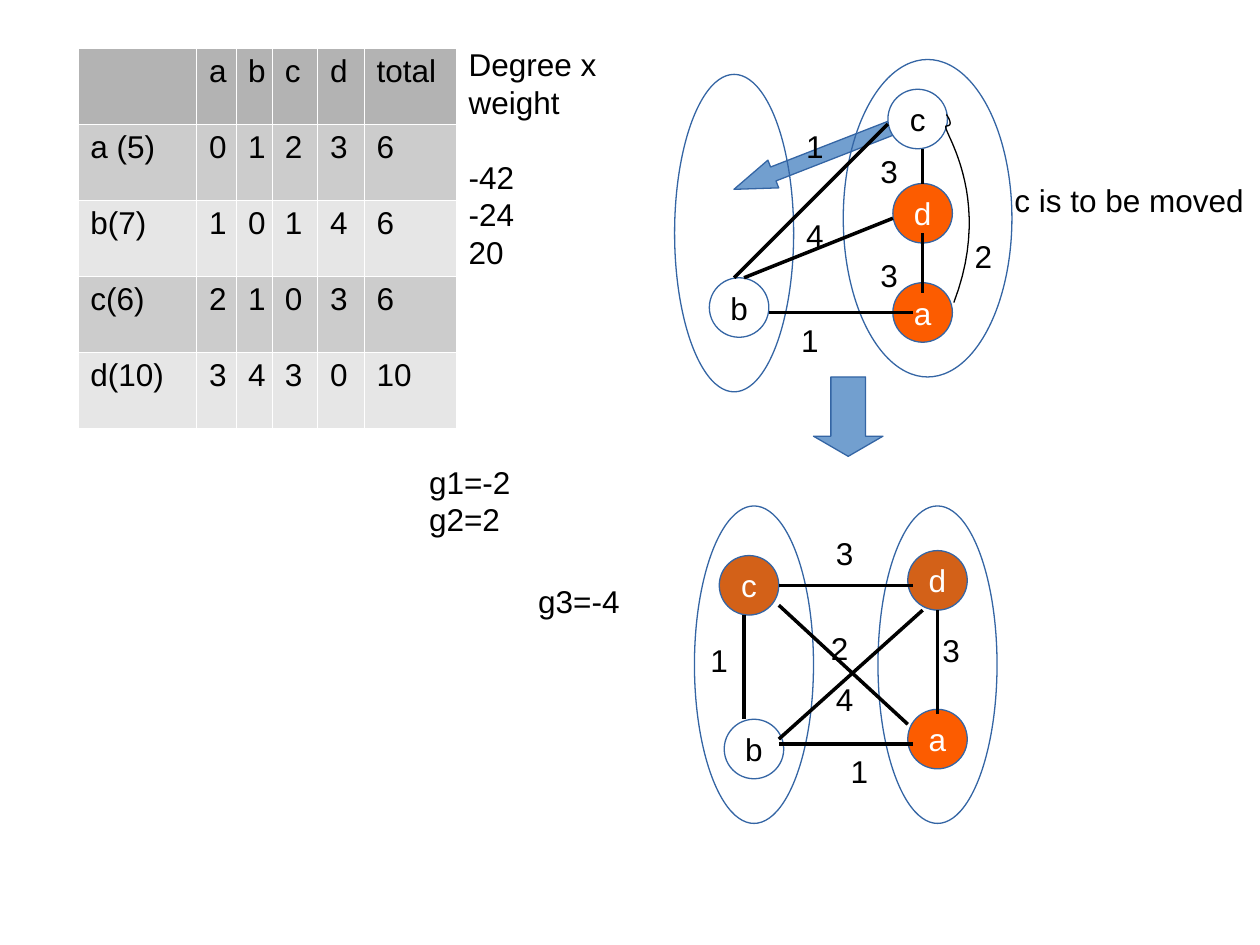
from typing import NamedTuple

import pptx
import pptx.dml.color
import pptx.enum.shapes
import pptx.enum.text
import pptx.oxml.ns
import pptx.oxml.xmlchemy
import pptx.shapes.autoshape
import pptx.slide
import pptx.text.text
import pptx.util
from lxml import etree

Cm = pptx.util.Cm
Pt = pptx.util.Pt
RGBColor = pptx.dml.color.RGBColor
SHAPE = pptx.enum.shapes.MSO_SHAPE
ALIGN = pptx.enum.text.PP_ALIGN
ANCHOR = pptx.enum.text.MSO_ANCHOR
qn = pptx.oxml.ns.qn

BLACK = RGBColor(0x00, 0x00, 0x00)
WHITE = RGBColor(0xFF, 0xFF, 0xFF)
ORANGE = RGBColor(0xFC, 0x5C, 0x00)
RUST = RGBColor(0xD3, 0x61, 0x18)
BLUE = RGBColor(0x72, 0x9F, 0xCF)
OUTLINE = RGBColor(0x34, 0x65, 0xA4)
HEADER_GREY = RGBColor(0xB3, 0xB3, 0xB3)
BAND_GREYS = (RGBColor(0xCC, 0xCC, 0xCC), RGBColor(0xE6, 0xE6, 0xE6))

NODE_SIZE = 1.2
CLUSTER_HEIGHT = 6.4
ROW_HEIGHT = 1.53
COLUMN_WIDTHS = (2.39, 0.79, 0.74, 0.91, 0.94, 1.85)
DEGREES = (
    ("", "a", "b", "c", "d", "total"),
    ("a (5)", "0", "1", "2", "3", "6"),
    ("b(7)", "1", "0", "1", "4", "6"),
    ("c(6)", "2", "1", "0", "3", "6"),
    ("d(10)", "3", "4", "3", "0", "10"),
)


class Node(NamedTuple):
    name: str
    left: float
    top: float
    fill: RGBColor


class Cluster(NamedTuple):
    left: float
    top: float
    width: float


class Edge(NamedTuple):
    x1: float
    y1: float
    x2: float
    y2: float


class Weight(NamedTuple):
    value: str
    left: float
    top: float


class Graph(NamedTuple):
    nodes: tuple[Node, ...]
    clusters: tuple[Cluster, ...]
    edges: tuple[Edge, ...]
    weights: tuple[Weight, ...]


BEFORE_MOVE = Graph(
    (Node("a", 18, 5.7, ORANGE), Node("b", 14.3, 5.6, WHITE),
     Node("d", 18, 3.7, ORANGE), Node("c", 17.9, 1.8, WHITE)),
    (Cluster(17, 1.2, 3.4), Cluster(13.6, 1.5, 2.4)),
    (Edge(14.8, 5.6, 17.9, 2.5), Edge(15, 5.6, 18, 4.4), Edge(15.5, 6.3, 18.4, 6.3),
     Edge(18.6, 3, 18.6, 3.7), Edge(18.6, 4.7, 18.6, 5.9)),
    (Weight("1", 16, 2.44), Weight("1", 15.9, 6.35), Weight("2", 19.4, 4.65),
     Weight("3", 17.5, 2.95), Weight("3", 17.5, 5.03), Weight("4", 16, 4.24)),
)
AFTER_MOVE = Graph(
    (Node("a", 18.3, 14.3, ORANGE), Node("b", 14.6, 14.5, WHITE),
     Node("d", 18.3, 11.1, RUST), Node("c", 14.5, 11.2, RUST)),
    (Cluster(14, 10.2, 2.4), Cluster(17.7, 10.2, 2.4)),
    (Edge(15.7, 15, 18.4, 15), Edge(15.7, 11.8, 18.4, 11.8), Edge(15, 12.4, 15, 14.5),
     Edge(18.9, 12.3, 18.9, 14.4), Edge(15.7, 12.2, 18.3, 14.6),
     Edge(15.7, 14.9, 18.6, 12.3)),
    (Weight("2", 16.5, 12.55), Weight("1", 16.9, 15.04), Weight("3", 18.75, 12.6),
     Weight("1", 14.07, 12.8), Weight("3", 16.6, 10.64), Weight("4", 16.6, 13.59)),
)
CURVE_A_TO_C = (
    ((19.23, 6.1), (20.07, 3.89), (18.92, 2.54), (19.08, 2.54)),
    ((19.08, 2.54), (19.25, 2.54), (19.08, 2.31), (19.08, 2.31)),
)


def write(frame: pptx.text.text.TextFrame, text: str, *, color: RGBColor = BLACK,
          align: ALIGN = ALIGN.LEFT, anchor: ANCHOR = ANCHOR.TOP,
          wrap: bool = True, gap_after_first: float = 0) -> None:
    frame.word_wrap = wrap
    frame.vertical_anchor = anchor
    frame.text = text
    for index, paragraph in enumerate(frame.paragraphs):
        paragraph.alignment = align
        paragraph.font.name = "Arial"
        paragraph.font.size = Pt(18)
        paragraph.font.color.rgb = color
        if index == 1:
            paragraph.space_before = Pt(gap_after_first)


def add_note(slide: pptx.slide.Slide, text: str, left: float, top: float,
             width: float, height: float, gap_after_first: float = 0) -> None:
    note = slide.shapes.add_textbox(Cm(left), Cm(top), Cm(width), Cm(height))
    write(note.text_frame, text, gap_after_first=gap_after_first)


def add_outlined(slide: pptx.slide.Slide, kind: SHAPE, left: float, top: float,
                 width: float, height: float,
                 fill: RGBColor | None = None) -> pptx.shapes.autoshape.Shape:
    outlined = slide.shapes.add_shape(kind, Cm(left), Cm(top), Cm(width), Cm(height))
    outlined.shadow.inherit = False
    if fill is None:
        outlined.fill.background()
    else:
        outlined.fill.solid()
        outlined.fill.fore_color.rgb = fill
    outlined.line.color.rgb = OUTLINE
    outlined.line.width = Pt(0)
    return outlined


def add_edge(slide: pptx.slide.Slide, edge: Edge) -> None:
    link = slide.shapes.add_connector(
        pptx.enum.shapes.MSO_CONNECTOR.STRAIGHT, *(Cm(value) for value in edge))
    link.line.color.rgb = BLACK
    link.line.width = Pt(0)
    etree.SubElement(link._element.spPr, qn("a:effectLst"))


def add_curve(slide: pptx.slide.Slide, segments: tuple, steps: int = 24) -> None:
    points = []
    for start, pull_out, pull_in, end in segments:
        for step in range(steps + 1):
            t = step / steps
            points.append(tuple(
                Cm((1 - t) ** 3 * p + 3 * (1 - t) ** 2 * t * q
                   + 3 * (1 - t) * t ** 2 * r + t ** 3 * s)
                for p, q, r, s in zip(start, pull_out, pull_in, end)))
    builder = slide.shapes.build_freeform(*points[0])
    builder.add_line_segments(points[1:], close=False)
    curve = builder.convert_to_shape()
    curve.shadow.inherit = False
    curve.fill.background()
    curve.line.color.rgb = BLACK
    curve.line.width = Pt(0)


def add_graph(slide: pptx.slide.Slide, graph: Graph) -> None:
    for node in graph.nodes:
        circle = add_outlined(slide, SHAPE.OVAL, node.left, node.top,
                              NODE_SIZE, NODE_SIZE, node.fill)
        write(circle.text_frame, node.name, color=BLACK if node.fill == WHITE else WHITE,
              align=ALIGN.CENTER, anchor=ANCHOR.MIDDLE, wrap=False)
    for cluster in graph.clusters:
        add_outlined(slide, SHAPE.OVAL, *cluster, CLUSTER_HEIGHT)
    for edge in graph.edges:
        add_edge(slide, edge)
    for weight in graph.weights:
        add_note(slide, *weight, 0.8, 0.96)


def add_degree_table(slide: pptx.slide.Slide) -> None:
    degrees = slide.shapes.add_table(
        len(DEGREES), len(COLUMN_WIDTHS), Cm(1.57), Cm(0.97),
        Cm(sum(COLUMN_WIDTHS)), Cm(ROW_HEIGHT * len(DEGREES))).table
    for column, width in zip(degrees.columns, COLUMN_WIDTHS):
        column.width = Cm(width)
    for row, values in enumerate(DEGREES):
        degrees.rows[row].height = Cm(ROW_HEIGHT)
        for col, value in enumerate(values):
            cell = degrees.cell(row, col)
            write(cell.text_frame, value)
            properties = cell._tc.get_or_add_tcPr()
            for side in ("lnL", "lnR", "lnT", "lnB"):
                border = etree.SubElement(properties, qn(f"a:{side}"), w="720")
                paint = etree.SubElement(border, qn("a:solidFill"))
                etree.SubElement(paint, qn("a:srgbClr"), val=str(WHITE))
            cell.fill.solid()
            cell.fill.fore_color.rgb = BAND_GREYS[(row - 1) % 2] if row else HEADER_GREY


def main() -> None:
    deck = pptx.Presentation()
    deck.slide_width, deck.slide_height = Cm(25.4), Cm(19.05)
    slide = deck.slides.add_slide(deck.slide_layouts[6])

    add_degree_table(slide)
    add_note(slide, "Degree x weight\n-42\n-24\n20", 9.2, 0.79, 3.7, 7.72, gap_after_first=21)
    add_note(slide, "c is to be moved", 20.2, 3.53, 6.4, 0.96)
    add_note(slide, "g1=-2\ng2=2", 8.4, 9.2, 3.6, 2.4)
    add_note(slide, "g3=-4", 10.6, 11.6, 3.6, 1.2)

    move_arrow = add_outlined(slide, SHAPE.LEFT_ARROW, 14.68, 2.9, 3.4, 0.6, BLUE)
    move_arrow.adjustments[1] = 1.42
    move_arrow.rotation = 338.7
    add_graph(slide, BEFORE_MOVE)
    add_curve(slide, CURVE_A_TO_C)
    add_graph(slide, AFTER_MOVE)
    result_arrow = add_outlined(slide, SHAPE.DOWN_ARROW, 16.4, 7.6, 1.4, 1.6, BLUE)
    result_arrow.adjustments[1] = 0.29

    deck.save("out.pptx")


if __name__ == "__main__":
    main()
